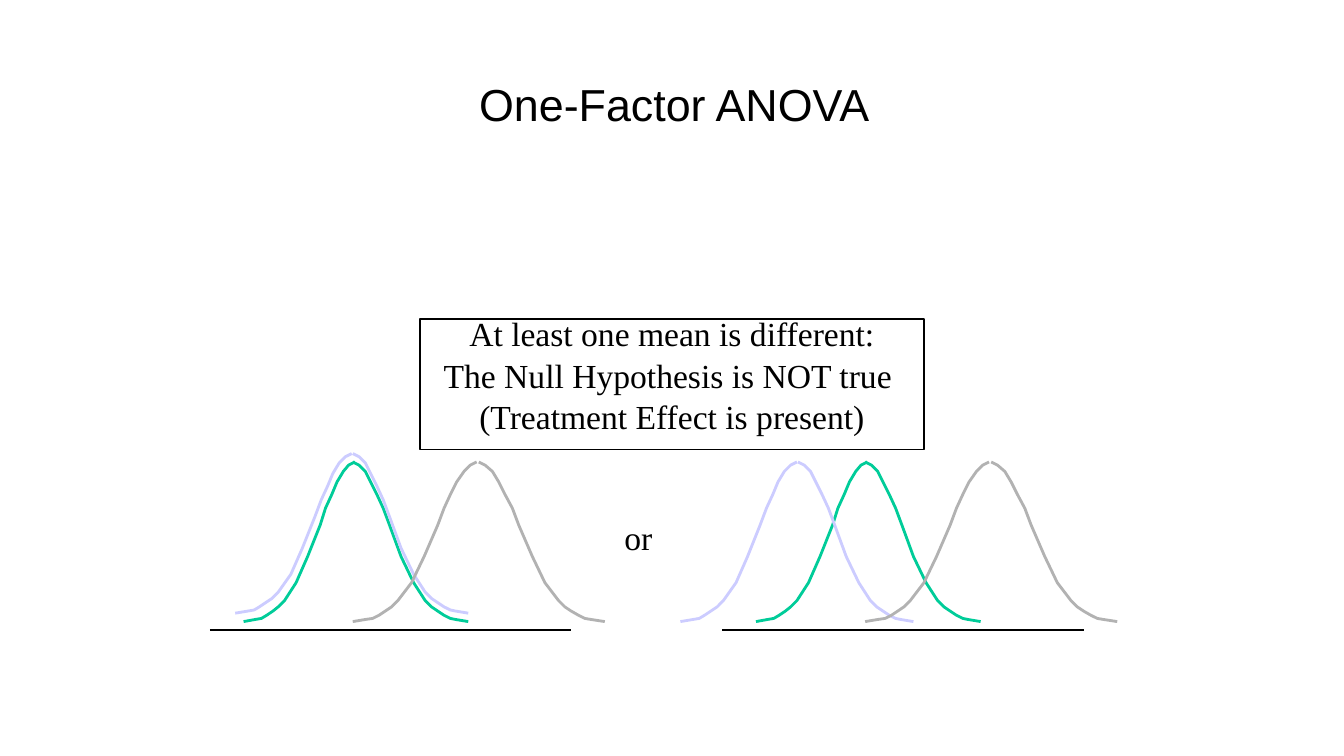
import pptx
import pptx.util
import pptx.dml.color
import pptx.enum.shapes
import pptx.enum.text
import pptx.oxml

RGB = pptx.dml.color.RGBColor
BLACK = RGB(0x00, 0x00, 0x00)
WHITE = RGB(0xFF, 0xFF, 0xFF)
GREEN = RGB(0x00, 0xCC, 0x99)
LILAC = RGB(0xCC, 0xCC, 0xFF)
GRAY = RGB(0xB2, 0xB2, 0xB2)

PX = 9525
STEPS = (0, 2, 3, 4, 5, 6, 7, 9, 11, 13, 14, 15, 16, 17, 18, 19)
RISE = (0, 2, 3, 6, 10, 14, 20, 37, 62, 92, 108, 121, 133, 143, 149, 152)


def scale(*box):
    return [n * PX for n in box]


def write(frame, lines, font, size, spaces, gap=0):
    frame.word_wrap = True
    frame.text = "\n".join(lines)
    for i, (para, space) in enumerate(zip(frame.paragraphs, spaces)):
        para.alignment = pptx.enum.text.PP_ALIGN.CENTER
        para.line_spacing = space
        para.space_before = pptx.util.Pt(gap if i else 0)
        for run in para.runs:
            run.font.name = font
            run.font.size = pptx.util.Pt(size)
            run.font.color.rgb = BLACK


def title(slide, box):
    shape = slide.shapes.title
    shape.left, shape.top, shape.width, shape.height = scale(*box)
    write(shape.text_frame, ["One-Factor ANOVA "], "Arial", 32, [1.1])
    shape.text_frame.vertical_anchor = pptx.enum.text.MSO_ANCHOR.MIDDLE


def claim(slide, box):
    kind = pptx.enum.shapes.MSO_SHAPE.RECTANGLE
    shape = slide.shapes.add_shape(kind, *scale(*box))
    shape.shadow.inherit = False
    shape.fill.solid()
    shape.fill.fore_color.rgb = WHITE
    shape.line.color.rgb = BLACK
    shape.line.width = pptx.util.Pt(1)
    lines = ["At least one mean is different:",
             "The Null Hypothesis is NOT true ",
             "(Treatment Effect is present)"]
    write(shape.text_frame, lines, "Times New Roman", 24, [0.7, 0.6, 0.6], 12)
    shape.text_frame.vertical_anchor = pptx.enum.text.MSO_ANCHOR.TOP


def label(slide, box):
    shape = slide.shapes.add_textbox(*scale(*box))
    write(shape.text_frame, ["or"], "Times New Roman", 24, [1.0])


def half(slide, foot, peak, base, color):
    points = [(round(foot + (peak - foot) * step / STEPS[-1], 2), base - rise)
              for step, rise in zip(STEPS, RISE)]
    pen = slide.shapes.build_freeform(*points[0], scale=PX)
    pen.add_line_segments(points[1:], close=False)
    shape = pen.convert_to_shape()
    shape.shadow.inherit = False
    shape.fill.background()
    shape.line.color.rgb = color
    shape.line.width = pptx.util.Pt(2)


def axis(slide, left, top, width):
    kind = pptx.enum.shapes.MSO_CONNECTOR.STRAIGHT
    line = slide.shapes.add_connector(kind, *scale(left, top, left + width, top))
    line.line.color.rgb = BLACK
    line.line.width = pptx.util.Pt(1.5)
    pr = line._element.spPr
    pr.append(pptx.oxml.parse_xml(
        '<a:effectLst xmlns:a="http://schemas.openxmlformats.org/drawingml/2006/main"/>'))


def graph(slide, box, shift, lift):
    left, top, width, height = box
    base = top + height - 8
    bells = [(GREEN, 32, 138, 136, 246, 0, 0),
             (LILAC, 24, 135, 136, 246, shift, lift),
             (GRAY, 136, 254, 256, 376, 0, 0)]
    for color, start, rise, fall, end, dx, dy in bells:
        x = left + dx
        half(slide, x + end, x + fall, base - dy, color)
        half(slide, x + start, x + rise, base - dy, color)
    axis(slide, left, top + height, width)


def main():
    deck = pptx.Presentation()
    deck.slide_width, deck.slide_height = scale(1280, 720)
    slide = deck.slides.add_slide(deck.slide_layouts[5])
    title(slide, (275, 56, 744, 80))
    graph(slide, (200, 440, 344, 160), 0, 8)
    claim(slide, (400, 304, 480, 124))
    graph(slide, (688, 440, 344, 160), -64, 0)
    label(slide, (576, 488, 64, 48))
    deck.save("out.pptx")


if __name__ == "__main__":
    main()
